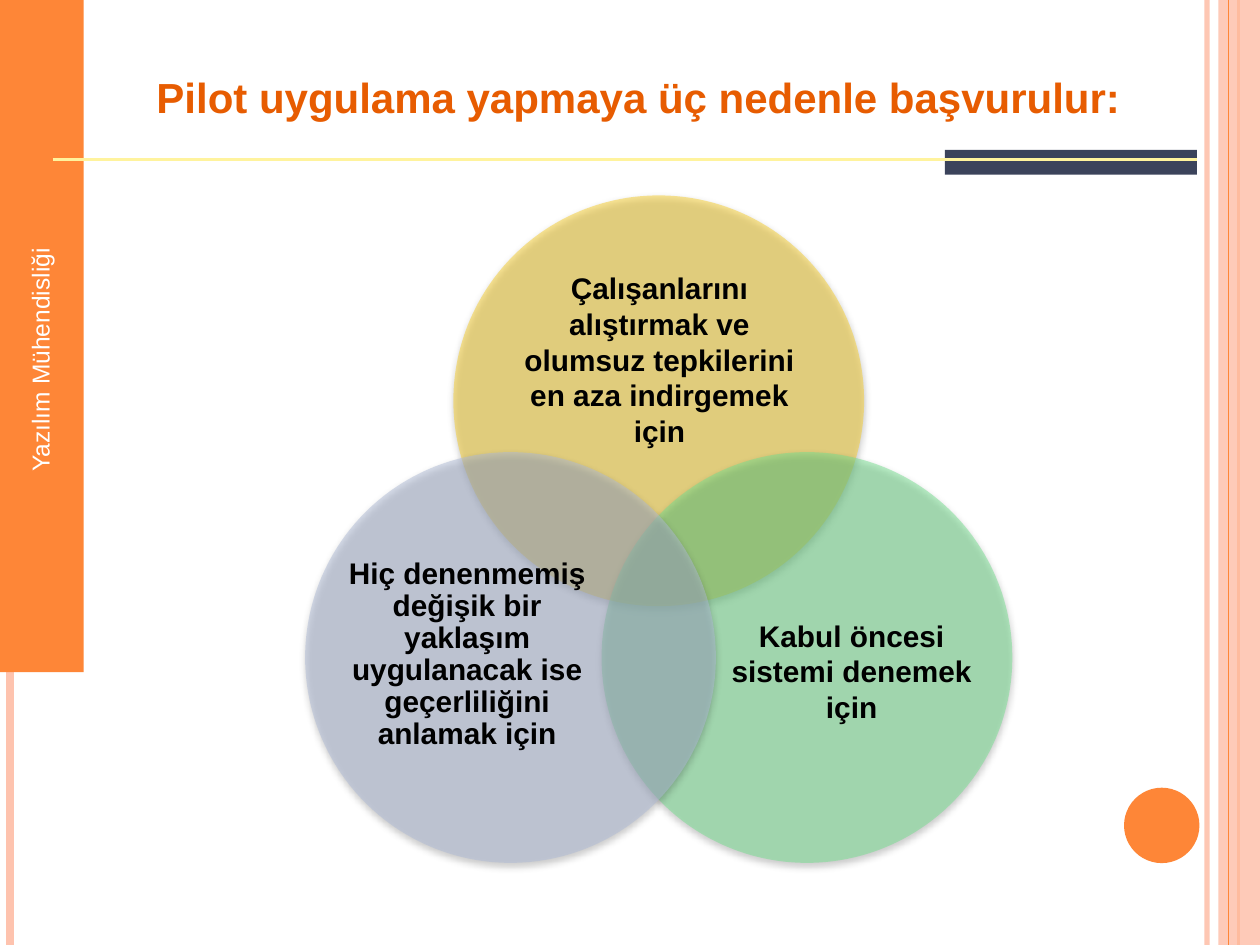
from math import cos, radians, sin

from lxml.etree import SubElement
from pptx import Presentation
from pptx.dml.color import RGBColor
from pptx.enum.shapes import MSO_CONNECTOR as CONNECTOR, MSO_SHAPE as SHAPE
from pptx.enum.text import MSO_ANCHOR as ANCHOR, MSO_AUTO_SIZE as AUTO_SIZE, PP_ALIGN as ALIGN
from pptx.oxml.ns import qn
from pptx.util import Cm, Pt

FONT = "Arial"
BLACK = RGBColor(0x00, 0x00, 0x00)
WHITE = RGBColor(0xFF, 0xFF, 0xFF)
ORANGE = RGBColor(0xFE, 0x86, 0x37)
TITLE_ORANGE = RGBColor(0xE7, 0x5C, 0x01)
PEACH = RGBColor(0xFE, 0xC3, 0xAE)
NAVY = RGBColor(0x3B, 0x43, 0x5B)
PALE_YELLOW = RGBColor(0xFF, 0xF3, 0x9D)
YELLOW = RGBColor(0xF5, 0xCD, 0x2D)
GREEN = RGBColor(0x75, 0xDE, 0x8F)
BLUE = RGBColor(0xAE, 0xBA, 0xD5)

PAGE_WIDTH, PAGE_HEIGHT = 25.4, 19.05
VENN_X, VENN_Y = 13.28, 11.53
VENN_SPREAD = 3.45
DIAMETER = 8.28

REASONS = [
    (-90, YELLOW, (10.26, 5.38, 6.07, 3.73), 1.0,
     ["Çalışanlarını", "alıştırmak ve olumsuz tepkilerini", "en aza indirgemek için"]),
    (30, GREEN, (14.68, 11.25, 4.98, 4.55), 1.0,
     ["Kabul öncesi", "sistemi denemek için"]),
    (150, BLUE, (6.93, 11.25, 4.98, 3.9), 0.9,
     ["Hiç denenmemiş", "değişik bir yaklaşım uygulanacak ise", "geçerliliğini anlamak için"]),
]


def set_opacity(element, percent):
    for color in element.iter(qn("a:srgbClr")):
        SubElement(color, qn("a:alpha"), val=str(percent * 1000))


def add_line(slide, start, end, color, width, opacity=100):
    line = slide.shapes.add_connector(CONNECTOR.STRAIGHT, *map(Cm, start + end))
    line.line.color.rgb = color
    line.line.width = Pt(width)
    properties = line._element.spPr
    if opacity < 100:
        set_opacity(properties, opacity)
    SubElement(properties, qn("a:effectLst"))


def add_filled(slide, kind, area, color, opacity=100):
    filled = slide.shapes.add_shape(kind, *map(Cm, area))
    filled.shadow.inherit = False
    filled.fill.solid()
    filled.fill.fore_color.rgb = color
    filled.line.fill.background()
    if opacity < 100:
        set_opacity(filled._element.spPr, opacity)
    return filled


def add_soft_shadow(circle):
    effects = circle._element.spPr.find(qn("a:effectLst"))
    shadow = SubElement(effects, qn("a:outerShdw"), blurRad=str(Pt(4)),
                        dist=str(Pt(2)), dir="5400000", rotWithShape="0")
    SubElement(shadow, qn("a:srgbClr"), val=str(BLACK))
    set_opacity(shadow, 40)


def write_run(paragraph, text, size, color, bold=False):
    run = paragraph.add_run()
    run.text = text
    run.font.name = FONT
    run.font.size = Pt(size)
    run.font.bold = bold
    run.font.color.rgb = color


def add_reason(slide, angle, color, label_area, spacing, lines):
    center_x = VENN_X + VENN_SPREAD * cos(radians(angle))
    center_y = VENN_Y + VENN_SPREAD * sin(radians(angle))
    area = (center_x - DIAMETER / 2, center_y - DIAMETER / 2, DIAMETER, DIAMETER)
    add_soft_shadow(add_filled(slide, SHAPE.OVAL, area, color, 50))

    frame = slide.shapes.add_textbox(*map(Cm, label_area)).text_frame
    frame.word_wrap = True
    frame.vertical_anchor = ANCHOR.MIDDLE
    frame.margin_left = frame.margin_right = frame.margin_top = frame.margin_bottom = 0
    for index, text in enumerate(lines):
        paragraph = frame.add_paragraph() if index else frame.paragraphs[0]
        paragraph.alignment = ALIGN.CENTER
        paragraph.line_spacing = spacing
        write_run(paragraph, text, 17, BLACK, True)


def add_vertical_rule(slide, x, color, width, opacity=100):
    add_line(slide, (x, 0), (x, PAGE_HEIGHT), color, width, opacity)


def add_decoration(slide):
    add_vertical_rule(slide, 24.33, PEACH, 3, 93)
    add_vertical_rule(slide, 0.2, PEACH, 4.5)
    add_vertical_rule(slide, 24.77 + 0.2, ORANGE, 1.5)
    add_filled(slide, SHAPE.RECTANGLE, (24.56, 0, PAGE_WIDTH - 24.56, PAGE_HEIGHT), PEACH, 87)
    add_vertical_rule(slide, 24.77, ORANGE, 0.75)
    add_filled(slide, SHAPE.OVAL, (22.66, 15.88, 1.52, 1.52), ORANGE)
    add_filled(slide, SHAPE.RECTANGLE, (0, 0, 1.69, 13.55), ORANGE)
    add_filled(slide, SHAPE.RECTANGLE, (19.05, 3.02, 5.08, 0.5), NAVY)
    add_line(slide, (1.06, 3.22), (24.13, 3.22), PALE_YELLOW, 1.5)


def add_side_label(slide, text):
    label = slide.shapes.add_textbox(Cm(-1.88), Cm(6.43), Cm(5.59), Cm(1.07))
    label.rotation = 270
    label.text_frame.word_wrap = True
    write_run(label.text_frame.paragraphs[0], text, 14, WHITE)


def set_title(slide, text):
    title = slide.shapes.title
    title.left, title.top, title.width, title.height = map(Cm, (2.9, 1.32, 20.12, 1.27))
    frame = title.text_frame
    frame.word_wrap = False
    frame.auto_size = AUTO_SIZE.SHAPE_TO_FIT_TEXT
    frame.vertical_anchor = ANCHOR.MIDDLE
    paragraph = frame.paragraphs[0]
    paragraph.alignment = ALIGN.JUSTIFY
    write_run(paragraph, text, 24, TITLE_ORANGE, True)


def main():
    deck = Presentation()
    deck.slide_width, deck.slide_height = Cm(PAGE_WIDTH), Cm(PAGE_HEIGHT)
    slide = deck.slides.add_slide(deck.slide_layouts[5])
    add_decoration(slide)
    for reason in REASONS:
        add_reason(slide, *reason)
    add_side_label(slide, "Yazılım Mühendisliği")
    set_title(slide, "Pilot uygulama yapmaya üç nedenle başvurulur:")
    deck.save("out.pptx")


if __name__ == "__main__":
    main()
